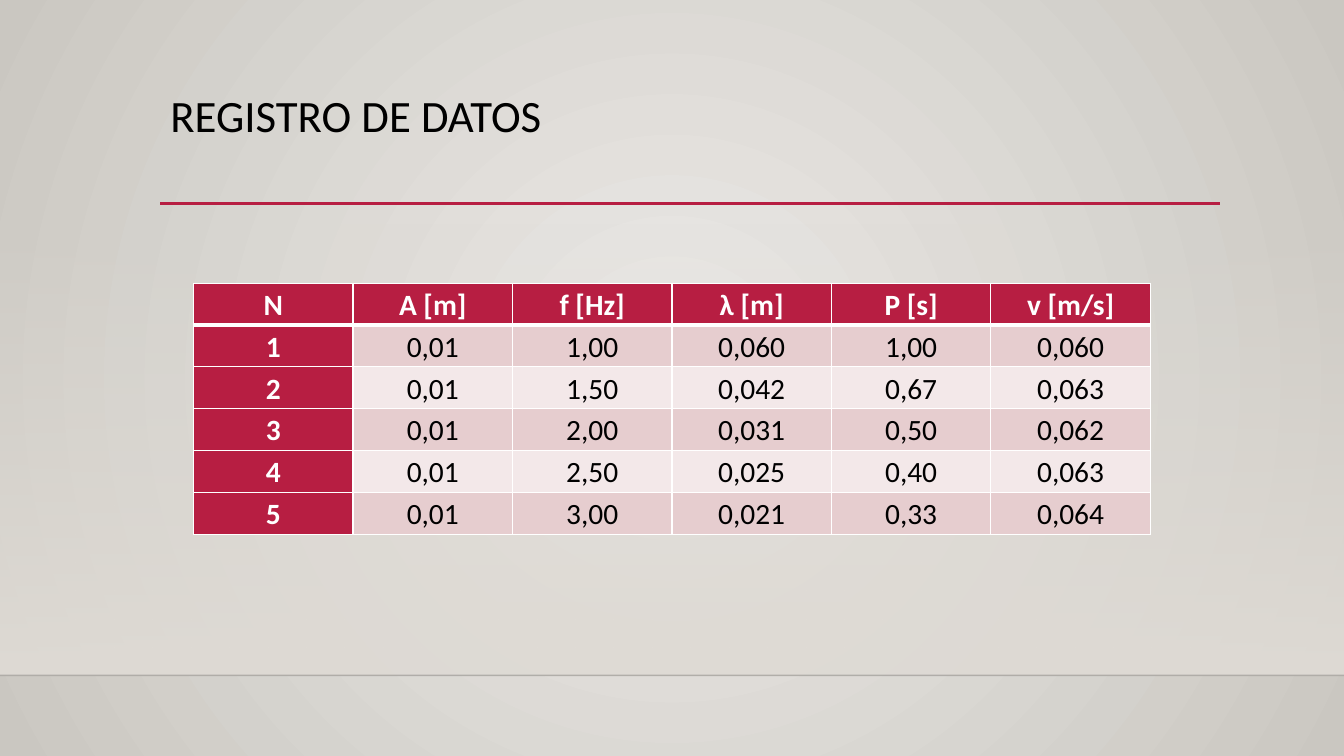
from dataclasses import dataclass

from lxml.etree import SubElement
from pptx import Presentation
from pptx.dml.color import RGBColor
from pptx.enum.shapes import MSO_CONNECTOR, MSO_SHAPE
from pptx.enum.text import MSO_ANCHOR, PP_ALIGN
from pptx.oxml.ns import qn
from pptx.util import Inches, Pt

FONT = "Calibri"
BLACK = RGBColor(0x00, 0x00, 0x00)
WHITE = RGBColor(0xFF, 0xFF, 0xFF)
CRIMSON = RGBColor(0xB7, 0x1E, 0x42)
PINK = RGBColor(0xE6, 0xCD, 0xCF)
PALE_PINK = RGBColor(0xF3, 0xE8, 0xE9)
SAND = RGBColor(0xDF, 0xDB, 0xD5)
CENTER_GREY = RGBColor(0xEC, 0xEA, 0xE7)
EDGE_GREY = RGBColor(0xCA, 0xC7, 0xC1)

SLIDE_W, SLIDE_H = 13.33, 7.5
FLOOR_Y = 6.7


@dataclass(frozen=True)
class Rule:
    """A horizontal line; opacity is in percent."""
    left: float
    right: float
    y: float
    color: RGBColor
    width: float
    opacity: int = 100


RULES = [
    Rule(0, SLIDE_W, FLOOR_Y, BLACK, 1, 20),
    Rule(1.59, 12.1, 2.02, CRIMSON, 2.5),
]

READINGS = [
    ["N", "A [m]", "f [Hz]", "λ [m]", "P [s]", "v [m/s]"],
    ["1", "0,01", "1,00", "0,060", "1,00", "0,060"],
    ["2", "0,01", "1,50", "0,042", "0,67", "0,063"],
    ["3", "0,01", "2,00", "0,031", "0,50", "0,062"],
    ["4", "0,01", "2,50", "0,025", "0,40", "0,063"],
    ["5", "0,01", "3,00", "0,021", "0,33", "0,064"],
]


def set_alpha(color_el, percent: int) -> None:
    SubElement(color_el, qn("a:alpha"), val=str(percent * 1000))


def set_stops(fill, colors: list[RGBColor]) -> None:
    fill.gradient()
    for stop, color in zip(fill.gradient_stops, colors):
        stop.color.rgb = color


def paint_background(s) -> None:
    """Radial gradient spreading from the slide centre."""
    set_stops(s.background.fill, [CENTER_GREY, EDGE_GREY])
    grad = next(s.element.iter(qn("a:gradFill")))
    grad.remove(grad.find(qn("a:lin")))
    radial = SubElement(grad, qn("a:path"), path="circle")
    SubElement(radial, qn("a:fillToRect"), l="50000", t="50000", r="50000", b="50000")


def add_wall_shade(s) -> None:
    """Band that fades in downwards to the floor line."""
    top = 2.21
    sp = s.shapes.add_shape(MSO_SHAPE.RECTANGLE, 0, Inches(top),
                            Inches(SLIDE_W), Inches(FLOOR_Y - top))
    sp.shadow.inherit = False
    sp.line.fill.background()
    set_stops(sp.fill, [SAND, SAND])
    sp.fill.gradient_angle = 270
    set_alpha(next(sp.element.iter(qn("a:srgbClr"))), 0)


def add_rule(s, rule: Rule) -> None:
    line = s.shapes.add_connector(MSO_CONNECTOR.STRAIGHT, Inches(rule.left), Inches(rule.y),
                                  Inches(rule.right), Inches(rule.y))
    line.line.color.rgb = rule.color
    line.line.width = Pt(rule.width)
    if rule.opacity < 100:
        set_alpha(next(line.element.iter(qn("a:srgbClr"))), rule.opacity)
    SubElement(line.element.spPr, qn("a:effectLst"))


def add_run(p, text: str, size: float, color: RGBColor, bold: bool = False) -> None:
    r = p.add_run()
    r.text = text
    r.font.name = FONT
    r.font.size = Pt(size)
    r.font.bold = bold
    r.font.color.rgb = color


def write_title(s, text: str) -> None:
    title = s.shapes.title
    title.left, title.top = Inches(1.59), Inches(0.88)
    title.width, title.height = Inches(10.5), Inches(1.15)
    tf = title.text_frame
    tf.word_wrap = True
    tf.vertical_anchor = MSO_ANCHOR.TOP
    p = tf.paragraphs[0]
    p.alignment = PP_ALIGN.LEFT
    p.line_spacing = 0.9
    add_run(p, text, 32, BLACK)


def set_borders(cell, is_header: bool, below_header: bool) -> None:
    widths = {"L": 1, "R": 1, "T": 3 if below_header else 1, "B": 3 if is_header else 1}
    tc_pr = cell._tc.get_or_add_tcPr()
    for side, width in widths.items():
        ln = SubElement(tc_pr, qn(f"a:ln{side}"), w=str(Pt(width)))
        solid = SubElement(ln, qn("a:solidFill"))
        SubElement(solid, qn("a:srgbClr"), val=str(WHITE))


def fill_cell(cell, text: str, row: int, col: int) -> None:
    is_heading = row == 0 or col == 0
    set_borders(cell, row == 0, row == 1)
    cell.fill.solid()
    cell.fill.fore_color.rgb = CRIMSON if is_heading else PINK if row % 2 else PALE_PINK
    cell.vertical_anchor = MSO_ANCHOR.MIDDLE
    cell.margin_left = cell.margin_right = Inches(0.09)
    cell.margin_top = cell.margin_bottom = 0
    p = cell.text_frame.paragraphs[0]
    p.alignment = PP_ALIGN.CENTER
    p.line_spacing = 1.07
    p.space_after = Pt(8)
    add_run(p, text, 21, WHITE if is_heading else BLACK, is_heading)


def add_readings(s) -> None:
    frame = s.shapes.add_table(len(READINGS), len(READINGS[0]), Inches(1.92), Inches(2.81),
                               Inches(9.49), Inches(2.49))
    frame.table.first_col = True
    for row, values in enumerate(READINGS):
        for col, text in enumerate(values):
            fill_cell(frame.table.cell(row, col), text, row, col)


def main() -> None:
    prs = Presentation()
    prs.slide_width, prs.slide_height = Inches(SLIDE_W), Inches(SLIDE_H)
    s = prs.slides.add_slide(prs.slide_layouts.get_by_name("Title Only"))
    paint_background(s)
    add_wall_shade(s)
    for rule in RULES:
        add_rule(s, rule)
    write_title(s, "REGISTRO DE DATOS")
    add_readings(s)
    prs.save("out.pptx")


if __name__ == "__main__":
    main()
